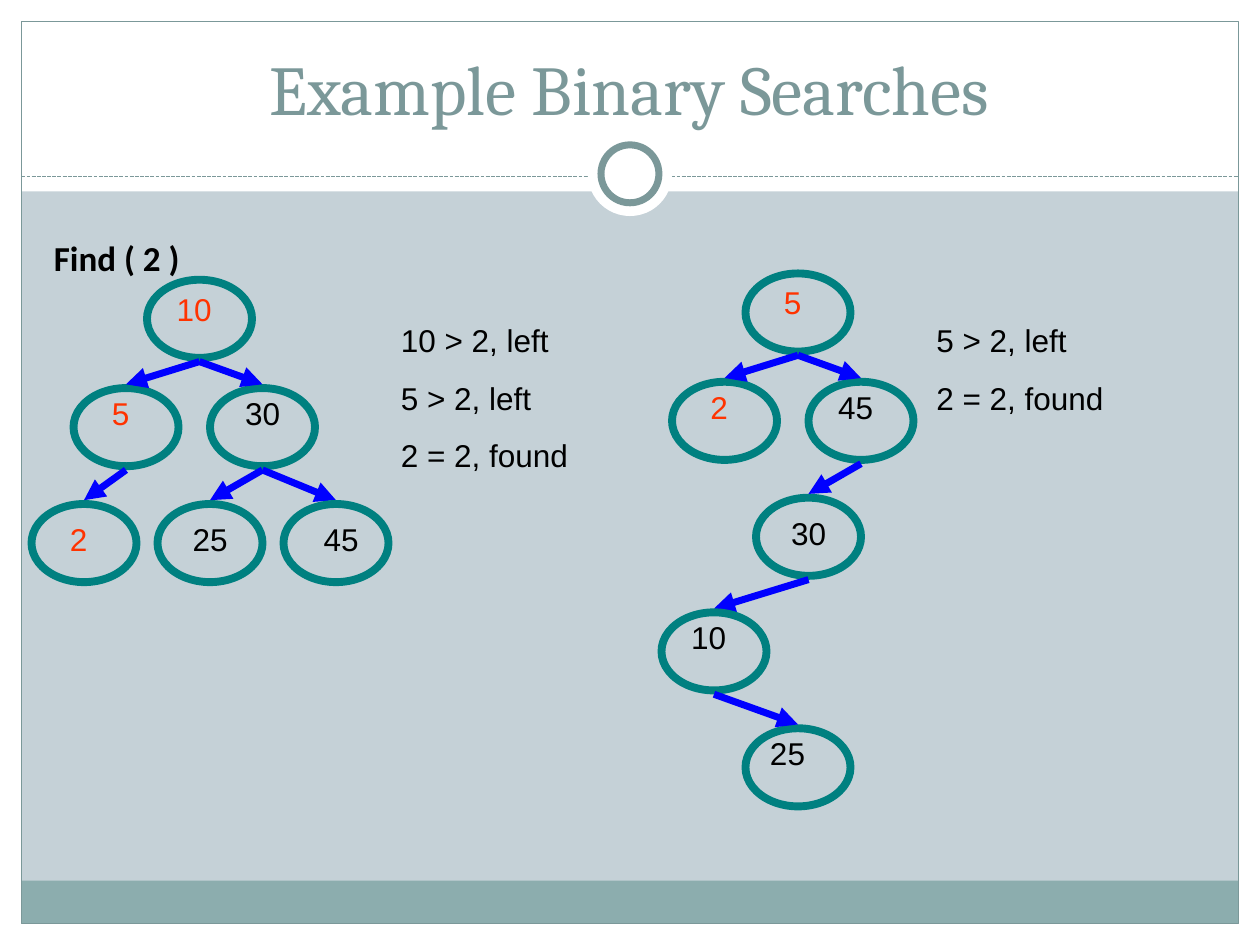
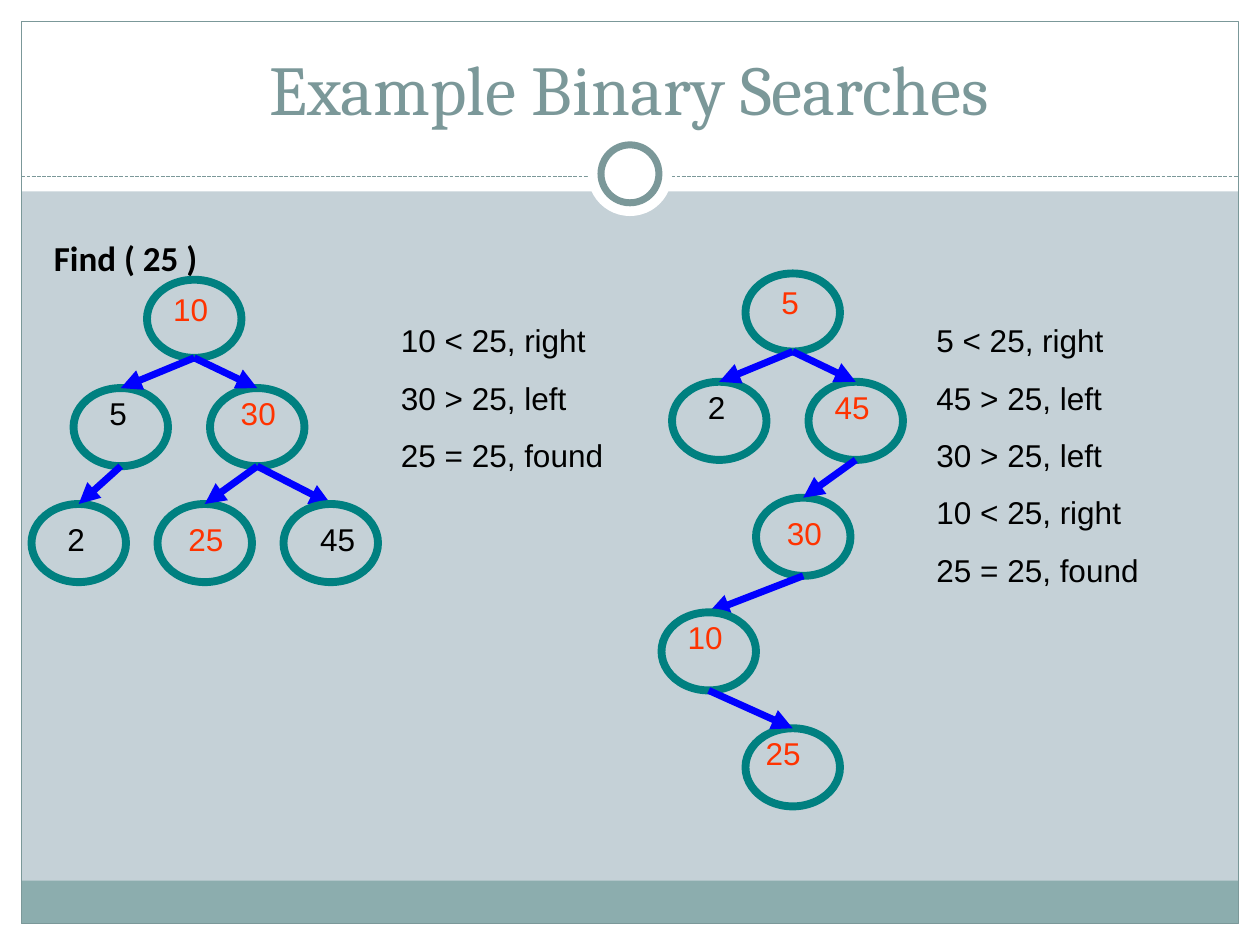
from pptx import Presentation
from pptx.dml.color import RGBColor
from pptx.enum.dml import MSO_LINE
from pptx.enum.shapes import MSO_CONNECTOR, MSO_SHAPE
from pptx.enum.text import MSO_ANCHOR, MSO_AUTO_SIZE, PP_ALIGN
from pptx.oxml.ns import qn
from pptx.util import Inches, Pt
from lxml import etree

RECT, OVAL = MSO_SHAPE.RECTANGLE, MSO_SHAPE.OVAL
STRAIGHT, DASH = MSO_CONNECTOR.STRAIGHT, MSO_LINE.SQUARE_DOT
CENTER, LEFT = PP_ALIGN.CENTER, PP_ALIGN.LEFT
TOP, BOTTOM = MSO_ANCHOR.TOP, MSO_ANCHOR.BOTTOM
GROW, FIXED = MSO_AUTO_SIZE.SHAPE_TO_FIT_TEXT, MSO_AUTO_SIZE.NONE

# Colours
WHITE, BLACK = "FFFFFF", "000000"
GROUND, BAND, SLATE = "C5D1D7", "8CADAE", "7B9899"
TEAL, BLUE, RED = "008080", "0000FF", "FF3300"

# Slide and grid, in inches
WIDE, HIGH, EDGE = 10, 7.5, 0.17
COL = 1 / 12
RING = 0.62                               # height of a node
ROWS = [0, 0.86, 1.78, 2.69, 3.61]        # tops of tree levels
DROPS = [0.03, 0, 0.08, 0, 0]             # label below node top
SPANS = {2: 5, 5: 5, 10: 7, 45: 7, 25: 8, 30: 8}  # label columns

# Nodes: value -> (column, level, label offset in columns, parent)
FULL = {"top": 2.22, "front": {45}, "nodes": {
    10: (14, 0, 1, None), 5: (7, 1, 2, 10), 30: (20, 1, 1, 10),
    2: (3, 2, 2, 5), 25: (15, 2, 1, 30), 45: (27, 2, 2, 30)}}
LEAN = {"top": 2.17, "front": {10}, "nodes": {
    5: (71, 0, 2, None), 2: (64, 1, 2, 5), 45: (77, 1, 1, 5),
    30: (72, 2, 1, 45), 10: (63, 3, 1, 30), 25: (71, 4, 0, 10)}}

# Searches: goal, node scale, arrow gap, then (tree, column of steps, steps)
FINDS = [
    (2, 1, 0.03, [
        (FULL, 37, ["10 > 2, left", "5 > 2, left", "2 = 2, found"]),
        (LEAN, 88, ["5 > 2, left", "2 = 2, found"])]),
    (25, 0.9, 0, [
        (FULL, 37, ["10 < 25, right", "30 > 25, left", "25 = 25, found"]),
        (LEAN, 88, ["5 < 25, right", "45 > 25, left", "30 > 25, left",
                    "10 < 25, right", "25 = 25, found"])]),
]


def color(code):
    return RGBColor.from_string(code)


def add_form(slide, kind, box, fill=None, line=None, width=0.75):
    form = slide.shapes.add_shape(kind, *map(Inches, box))
    form.shadow.inherit = False
    if fill:
        form.fill.solid()
        form.fill.fore_color.rgb = color(fill)
    else:
        form.fill.background()
    if line:
        form.line.color.rgb = color(line)
        form.line.width = Pt(width)
    else:
        form.line.fill.background()


def add_line(slide, start, end, code, width, dash=None, arrow=False):
    line = slide.shapes.add_connector(STRAIGHT, *map(Inches, start + end))
    line.line.color.rgb = color(code)
    line.line.width = Pt(width)
    if dash:
        line.line.dash_style = dash
    props = line.element.find(qn("p:spPr"))
    if arrow:
        etree.SubElement(props.find(qn("a:ln")), qn("a:tailEnd"),
                         type="triangle")
    etree.SubElement(props, qn("a:effectLst"))


def add_text(slide, box, lines, font="Arial", size=18, code=BLACK,
             bold=False, align=LEFT, anchor=TOP, before=0, fit=GROW):
    frame = slide.shapes.add_textbox(*map(Inches, box)).text_frame
    frame.word_wrap = True
    frame.auto_size = fit
    frame.vertical_anchor = anchor
    frame.text = "\n".join(lines)
    for para in frame.paragraphs:
        para.alignment = align
        para.space_before = Pt(before)
        para.font.name = font
        para.font.size = Pt(size)
        para.font.bold = bold
        para.font.color.rgb = color(code)


def add_frame(slide, layout):
    """Draw the shared frame and move it to the layout."""
    layout.background.fill.solid()
    layout.background.fill.fore_color.rgb = color(GROUND)
    inner, foot = WIDE - 2 * EDGE, HIGH - EDGE
    # White margins and header
    for box in [(0, foot, WIDE, EDGE), (0, 0, WIDE, 1.52),
                (0, 0, EDGE, HIGH), (WIDE - EDGE, 0, EDGE, HIGH)]:
        add_form(slide, RECT, box, WHITE)
    # Footer band, outline and rule
    add_form(slide, RECT, (EDGE, foot - 0.34, inner, 0.34), BAND)
    add_form(slide, RECT, (EDGE, EDGE, inner, HIGH - 2 * EDGE), line=SLATE)
    add_line(slide, (EDGE, 1.4), (WIDE - EDGE, 1.4), SLATE, 0.75, DASH)
    # Ring on the rule
    for size, line in [(0.67, None), (0.46, SLATE)]:
        box = ((WIDE - size) / 2, 1.38 - size / 2, size, size)
        add_form(slide, OVAL, box, WHITE, line, 4)
    for shape in list(slide.shapes):
        layout.shapes.element.append(shape.element)


def seek(nodes, goal):
    """Values on the way from the root to the goal."""
    trail = []
    while goal is not None:
        trail.append(goal)
        goal = nodes[goal][3]
    return trail


def add_tree(slide, tree, goal, scale, gap):
    nodes, width = tree["nodes"], 10 * COL * scale

    def spot(value):
        col, row = nodes[value][:2]
        return col * COL, tree["top"] + ROWS[row]

    def add_ring(value):
        add_form(slide, OVAL, (*spot(value), width, RING), line=TEAL,
                 width=4.5)

    def add_arrow(value):
        root = nodes[value][3]
        if root is None:
            return
        (left, top), (right, low) = spot(root), spot(value)
        add_line(slide, (left + width / 2, top + RING + gap),
                 (right + width / 2, low - gap), BLUE, 4, arrow=True)

    # Rings and arrows; front rings cover their arrow
    for value in nodes:
        steps = [add_ring, add_arrow]
        if value in tree["front"]:
            steps.reverse()
        for step in steps:
            step(value)
    # Labels, red along the search
    trail = seek(nodes, goal)
    for value, (_, row, shift, _) in nodes.items():
        left, top = spot(value)
        box = (left + shift * COL, top + DROPS[row],
               SPANS[value] * COL * scale, 0.4)
        add_text(slide, box, [str(value)], align=CENTER,
                 code=RED if value in trail else BLACK)


def main():
    deck = Presentation()
    deck.slide_width, deck.slide_height = Inches(WIDE), Inches(HIGH)
    blank = deck.slide_layouts[6]
    for index, (goal, scale, gap, parts) in enumerate(FINDS):
        slide = deck.slides.add_slide(blank)
        if index == 0:
            add_frame(slide, blank)
        add_text(slide, (0.33, 0.25, 9.33, 0.83), ["Example Binary Searches"],
                 "Cambria", 40, SLATE, align=CENTER, anchor=BOTTOM, fit=FIXED)
        add_text(slide, (0.33, 1.83, 9.3, 4.84), [f"Find ( {goal} )"],
                 "Calibri", 20, bold=True, before=5, fit=FIXED)
        for tree, _, _ in parts:
            add_tree(slide, tree, goal, scale, gap)
        for _, col, steps in parts:
            box = (col * COL, 2.5, 2.5 * scale, 0.46 * len(steps) - 0.06)
            add_text(slide, box, steps, before=11.2)
    deck.save("out.pptx")


if __name__ == "__main__":
    main()
